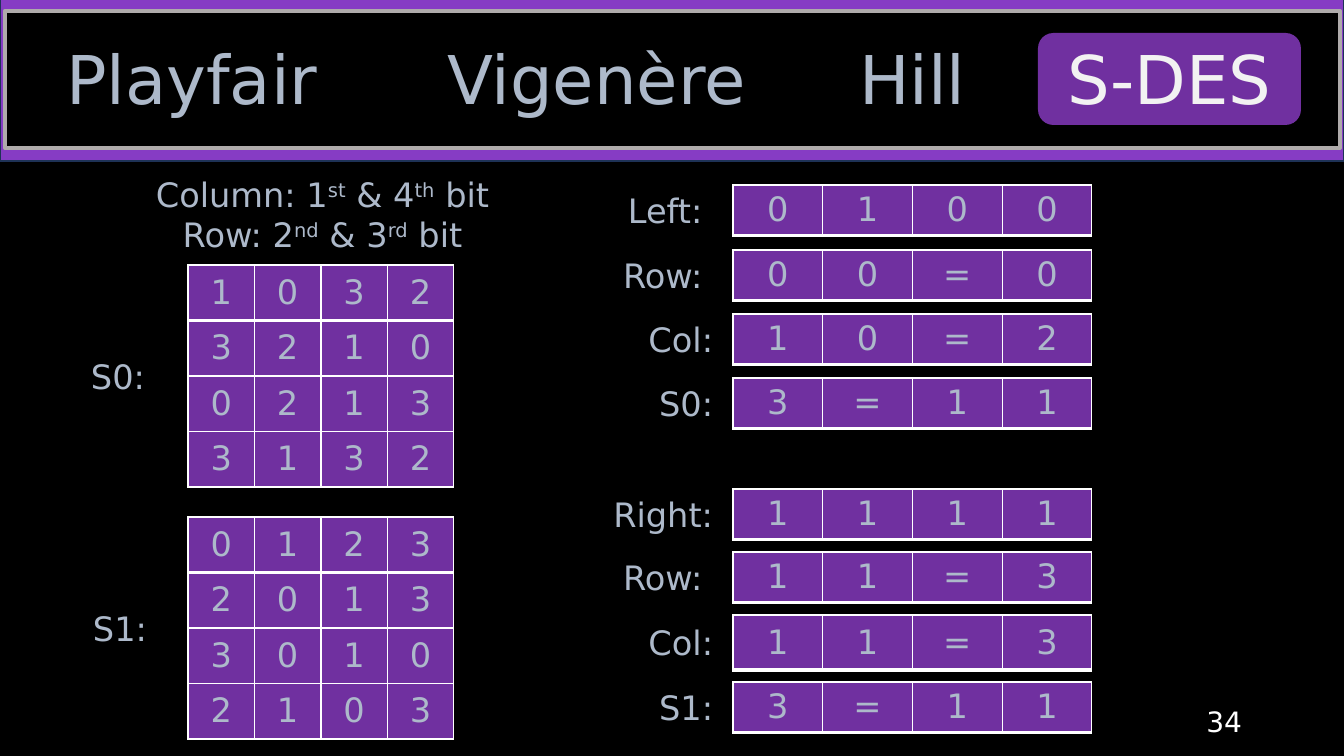
"""Builds the S-DES substitution box slide with its lookup tables."""
from dataclasses import dataclass

from lxml.etree import SubElement
from pptx import Presentation
from pptx.dml.color import RGBColor
from pptx.enum.shapes import MSO_SHAPE as Preset
from pptx.enum.text import MSO_ANCHOR as Anchor, PP_ALIGN as Align
from pptx.oxml.ns import qn
from pptx.util import Emu, Pt


@dataclass(frozen=True)
class Theme:
    font: str = "DejaVu Sans"
    black: str = "000000"
    white: str = "FFFFFF"
    banner: str = "863CC4"
    banner_edge: str = "1E3256"
    frame_edge: str = "AFABAB"
    purple: str = "7030A0"
    muted: str = "ADB9CA"
    bright: str = "F2F2F2"
    title: int = 48
    body: int = 24
    number: int = 20
    thin: int = 1
    thick: int = 3


def emu(px):
    return Emu(round(px * 914400 / 100.8))


def rgb(code):
    return RGBColor.from_string(code)


class SlidePainter:
    def __init__(self, page, theme):
        self.page = page
        self.theme = theme

    def background(self, color):
        fill = self.page.background.fill
        fill.solid()
        fill.fore_color.rgb = rgb(color)

    def panel(self, area, color, edge=None, weight=1, preset=Preset.RECTANGLE):
        shape = self.page.shapes.add_shape(preset, *map(emu, area))
        shape.shadow.inherit = False
        shape.fill.solid()
        shape.fill.fore_color.rgb = rgb(color)
        if edge:
            shape.line.color.rgb = rgb(edge)
            shape.line.width = Pt(weight)
        else:
            shape.line.fill.background()

    def add_spans(self, para, spans, size, color, align):
        para.alignment = align
        for index, words in enumerate(spans):
            span = para.add_run()
            span.text = words
            span.font.name = self.theme.font
            span.font.size = Pt(size)
            span.font.color.rgb = rgb(color)
            if index % 2:
                span._r.get_or_add_rPr().set("baseline", "30000")

    def text(self, area, lines, size=None, color=None, align=Align.CENTER, anchor=Anchor.TOP):
        box = self.page.shapes.add_textbox(*map(emu, area))
        frame = box.text_frame
        frame.word_wrap = True
        frame.vertical_anchor = anchor
        for index, spans in enumerate(lines):
            para = frame.add_paragraph() if index else frame.paragraphs[0]
            self.add_spans(para, spans, size or self.theme.body, color or self.theme.muted, align)

    def border(self, cell, sides):
        properties = cell._tc.get_or_add_tcPr()
        for side, weight in sides.items():
            line = SubElement(properties, qn(f"a:ln{side}"), w=str(int(Pt(weight))))
            paint = SubElement(line, qn("a:solidFill"))
            SubElement(paint, qn("a:srgbClr"), val=self.theme.white)

    def table(self, area, rows):
        theme = self.theme
        left, top, width, height = map(emu, area)
        grid = self.page.shapes.add_table(len(rows), len(rows[0]), left, top, width, height).table
        grid.first_row = grid.horz_banding = False
        for column in grid.columns:
            column.width = Emu(width // len(rows[0]))
        for row_index, values in enumerate(rows):
            grid.rows[row_index].height = Emu(height // len(rows))
            top_weight = theme.thick if row_index == 1 else theme.thin
            bottom_weight = theme.thin if row_index else theme.thick
            for column_index, value in enumerate(values):
                cell = grid.cell(row_index, column_index)
                self.border(cell, {"L": theme.thin, "R": theme.thin,
                                   "T": top_weight, "B": bottom_weight})
                cell.fill.solid()
                cell.fill.fore_color.rgb = rgb(theme.purple)
                cell.vertical_anchor = Anchor.MIDDLE
                self.add_spans(cell.text_frame.paragraphs[0], [value],
                               theme.body, theme.muted, Align.CENTER)


def main():
    theme = Theme()
    deck = Presentation()
    deck.slide_width, deck.slide_height = emu(1344), emu(756)
    painter = SlidePainter(deck.slides.add_slide(deck.slide_layouts[6]), theme)
    painter.background(theme.black)

    painter.panel((0, -2, 1344, 163), theme.banner, theme.banner_edge)
    painter.panel((5, 11, 1335, 137), theme.black, theme.frame_edge, theme.thick)
    painter.panel((1038, 33, 263, 92), theme.purple, preset=Preset.ROUNDED_RECTANGLE)
    for name, left, width, color in (
        ("Playfair", 24, 336, theme.muted),
        ("Vigenère", 408, 377, theme.muted),
        ("Hill", 834, 157, theme.muted),
        ("S-DES", 1038, 263, theme.bright),
    ):
        painter.text((left, 32, width, 92), [[name]], theme.title, color)

    painter.text((65, 169, 515, 92), [
        ["Column: 1", "st", " & 4", "th", " bit"],
        ["Row: 2", "nd", " & 3", "rd", " bit"],
    ])
    for label, left, top, rows in (
        ("S0:", 71, 265, ("1032", "3210", "0213", "3132")),
        ("S1:", 73, 517, ("0123", "2013", "3010", "2103")),
    ):
        painter.table((188, top, 266, 222), rows)
        painter.text((left, top + 86, 94, 50), [[label]])

    label_right = 723
    for label, width, top, height, values in (
        ("Left: ", 124, 185, 50, "0100"),
        ("Row: ", 134, 250, 50, "00=0"),
        ("Col:", 134, 314, 50, "10=2"),
        ("S0:", 134, 378, 50, "3=11"),
        ("Right:", 163, 489, 50, "1111"),
        ("Row: ", 134, 552, 50, "11=3"),
        ("Col:", 134, 615, 55, "11=3"),
        ("S1:", 134, 682, 50, "3=11"),
    ):
        painter.table((733, top, 359, height), [values])
        painter.text((label_right - width, top + (height - 50) // 2, width, 50),
                     [[label]], align=Align.RIGHT)

    painter.text((950, 701, 302, 40), [["34"]], theme.number, theme.white,
                 Align.RIGHT, Anchor.MIDDLE)
    deck.save("out.pptx")


if __name__ == "__main__":
    main()
